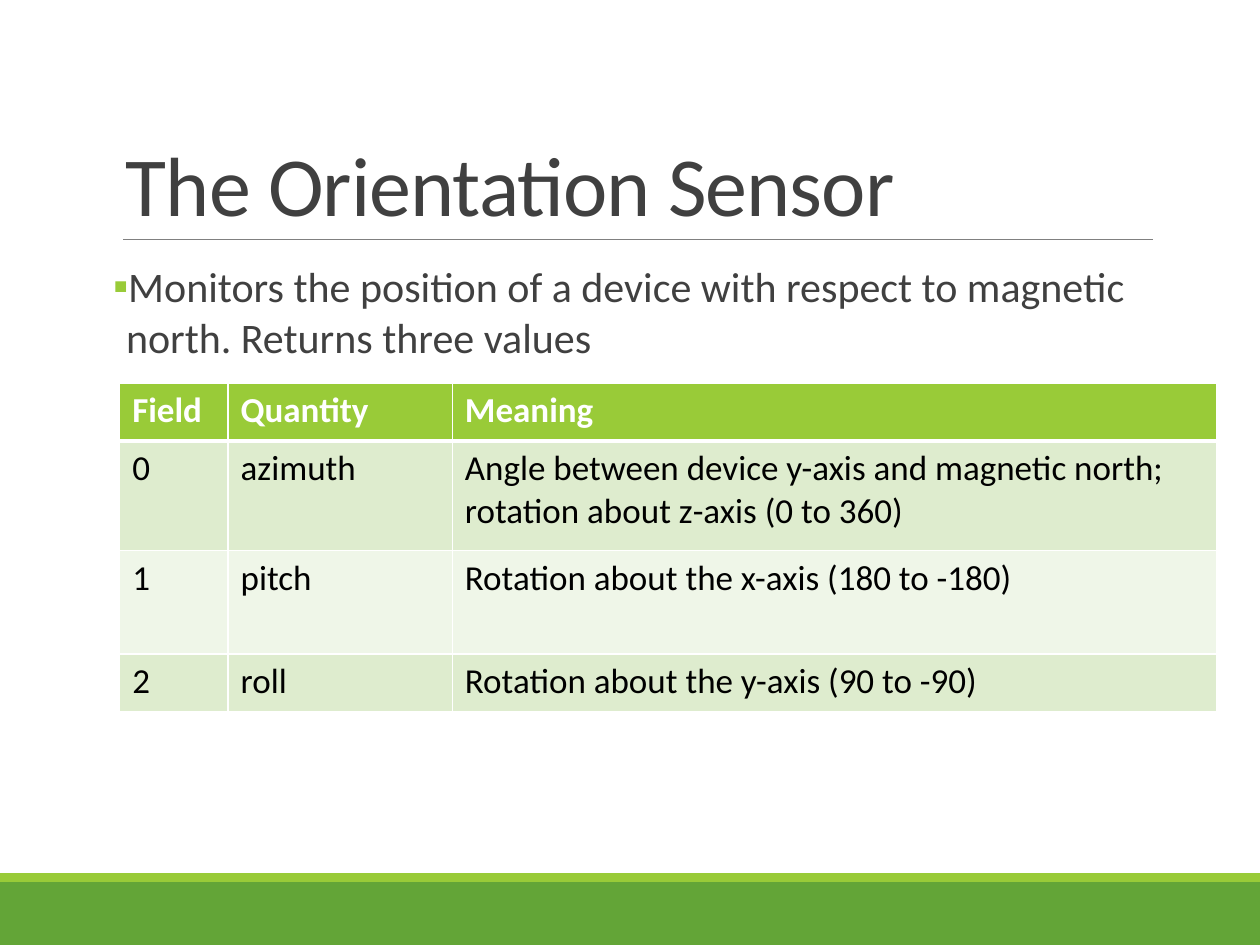
"""Build the slide about the orientation sensor."""
import pptx
import pptx.dml.color
import pptx.enum.shapes
import pptx.enum.text
import pptx.oxml.xmlchemy
import pptx.util
from lxml import etree
from pptx.util import Inches

NAMESPACE = "http://schemas.openxmlformats.org/drawingml/2006/main"


def color(value):
    return pptx.dml.color.RGBColor.from_string(value)


def add_element(parent, tag, **attributes):
    return etree.SubElement(parent, f"{{{NAMESPACE}}}{tag}", attributes)


def write_text(frame, text, *, font, size, fill, bold=False, tracking=None,
               bullet=None, bullet_color=None, indent=0, line_spacing=None, space_after=None):
    frame.word_wrap = True
    paragraph = frame.paragraphs[0]
    if bullet:
        properties = paragraph._p.get_or_add_pPr()
        properties.set("marL", str(Inches(indent)))
        properties.set("indent", str(-Inches(indent)))
        add_element(add_element(properties, "buClr"), "srgbClr", val=bullet_color)
        add_element(properties, "buFont", typeface=font)
        add_element(properties, "buChar", char=bullet)
    if line_spacing:
        paragraph.line_spacing = line_spacing
    if space_after:
        paragraph.space_after = pptx.util.Pt(space_after)
    run = paragraph.add_run()
    run.text = text
    run.font.name = font
    run.font.size = pptx.util.Pt(size)
    run.font.bold = bold
    run.font.color.rgb = color(fill)
    if tracking:
        run._r.get_or_add_rPr().set("spc", str(int(tracking * 100)))


class SensorSlide:
    font = "Calibri"
    text = "404040"
    lime = "99CB38"
    green = "63A537"
    white = "FFFFFF"
    bands = ("DEECCE", "EFF6E8")

    def __init__(self, presentation):
        self.slide = presentation.slides.add_slide(presentation.slide_layouts[6])

    def bar(self, left, top, width, height, fill):
        shape = self.slide.shapes.add_shape(
            pptx.enum.shapes.MSO_SHAPE.RECTANGLE,
            Inches(left), Inches(top), Inches(width), Inches(height))
        shape.shadow.inherit = False
        shape.fill.solid()
        shape.fill.fore_color.rgb = color(fill)
        shape.line.fill.background()

    def rule(self, left, right, top):
        connector = self.slide.shapes.add_connector(
            pptx.enum.shapes.MSO_CONNECTOR.STRAIGHT,
            Inches(left), Inches(top), Inches(right), Inches(top))
        connector.line.color.rgb = color("808080")
        connector.line.width = pptx.util.Pt(0.5)
        add_element(connector._element.spPr, "effectLst")

    def text_box(self, left, top, width, height, text, anchor, side_margin=0.1, **text_format):
        shape = self.slide.shapes.add_textbox(
            Inches(left), Inches(top), Inches(width), Inches(height))
        frame = shape.text_frame
        frame.vertical_anchor = anchor
        frame.margin_left = frame.margin_right = Inches(side_margin)
        write_text(frame, text, font=self.font, fill=self.text, **text_format)

    def cell_borders(self, cell, bottom):
        properties = cell._tc.get_or_add_tcPr()
        for tag, width in (("lnL", 1), ("lnR", 1), ("lnT", 1), ("lnB", bottom)):
            line = add_element(properties, tag, w=str(pptx.util.Pt(width)))
            add_element(add_element(line, "solidFill"), "srgbClr", val=self.white)

    def table(self, left, top, widths, heights, rows):
        table = self.slide.shapes.add_table(
            len(rows), len(widths), Inches(left), Inches(top),
            Inches(sum(widths)), Inches(sum(heights))).table
        for column, width in zip(table.columns, widths):
            column.width = Inches(width)
        for index, (row, height, values) in enumerate(zip(table.rows, heights, rows)):
            row.height = Inches(height)
            header = index == 0
            for cell, value in zip(row.cells, values):
                self.cell_borders(cell, bottom=3 if header else 1)
                cell.fill.solid()
                cell.fill.fore_color.rgb = color(self.lime if header else self.bands[(index - 1) % 2])
                write_text(cell.text_frame, value, font=self.font, size=20, bold=header,
                           fill=self.white if header else "000000")


def main():
    presentation = pptx.Presentation()
    presentation.slide_width = Inches(10)
    presentation.slide_height = Inches(7.5)
    slide = SensorSlide(presentation)
    anchor = pptx.enum.text.MSO_ANCHOR
    slide.bar(0, 7, 10, 0.5, slide.green)
    slide.bar(0, 6.93, 10, 0.07, slide.lime)
    slide.rule(0.98, 9.15, 1.9)
    slide.text_box(0.9, 0.31, 8.25, 1.59, "The Orientation Sensor", anchor.BOTTOM,
                   size=48, tracking=-0.5, line_spacing=0.85)
    slide.text_box(0.9, 2.02, 8.25, 4.4,
                   "Monitors the position of a device with respect to magnetic north. "
                   "Returns three values",
                   anchor.TOP, side_margin=0, size=24, bullet="▪",
                   bullet_color=slide.lime, indent=0.1, space_after=2)
    slide.table(0.95, 3.04, (0.86, 1.78, 6.07), (0.46, 0.87, 0.82, 0.46), (
        ("Field", "Quantity", "Meaning"),
        ("0", "azimuth", "Angle between device y-axis and magnetic north; "
                         "rotation about z-axis (0 to 360)"),
        ("1", "pitch", "Rotation about the x-axis (180 to -180)"),
        ("2", "roll", "Rotation about the y-axis (90 to -90)"),
    ))
    presentation.save("out.pptx")


if __name__ == "__main__":
    main()
